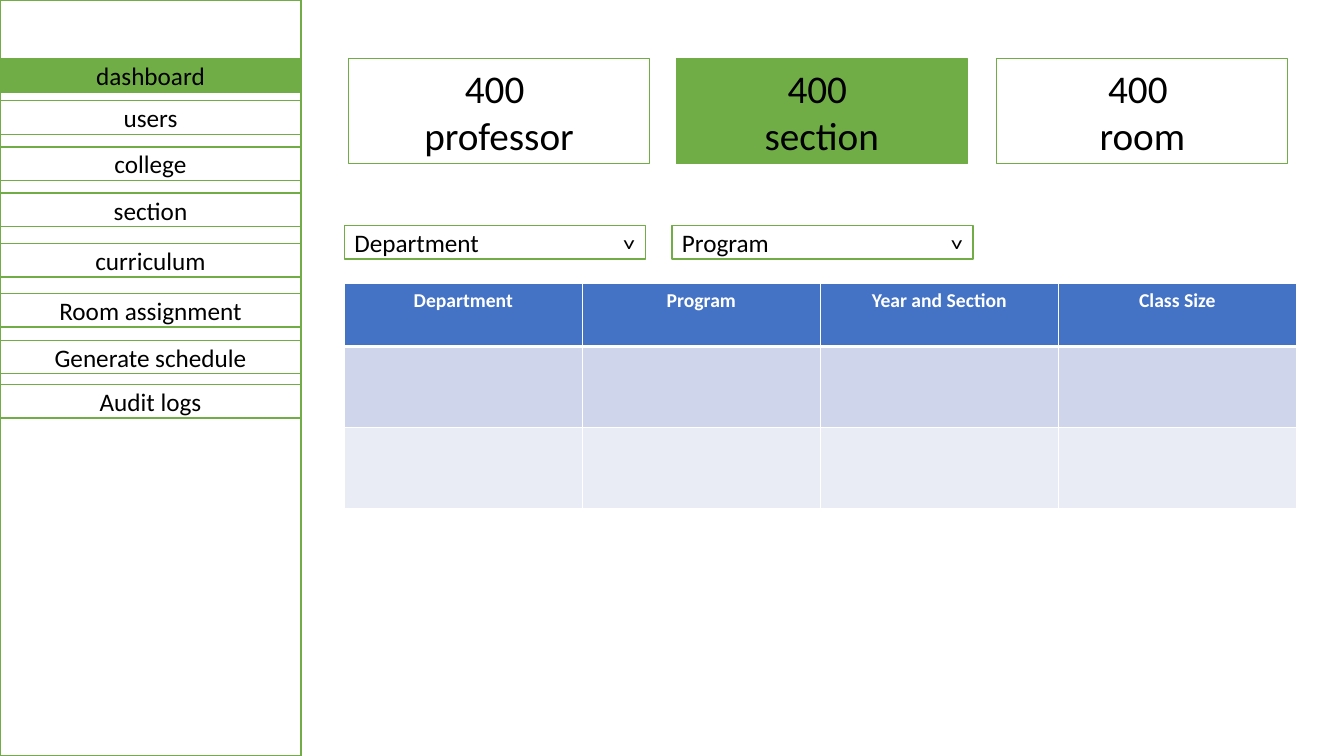
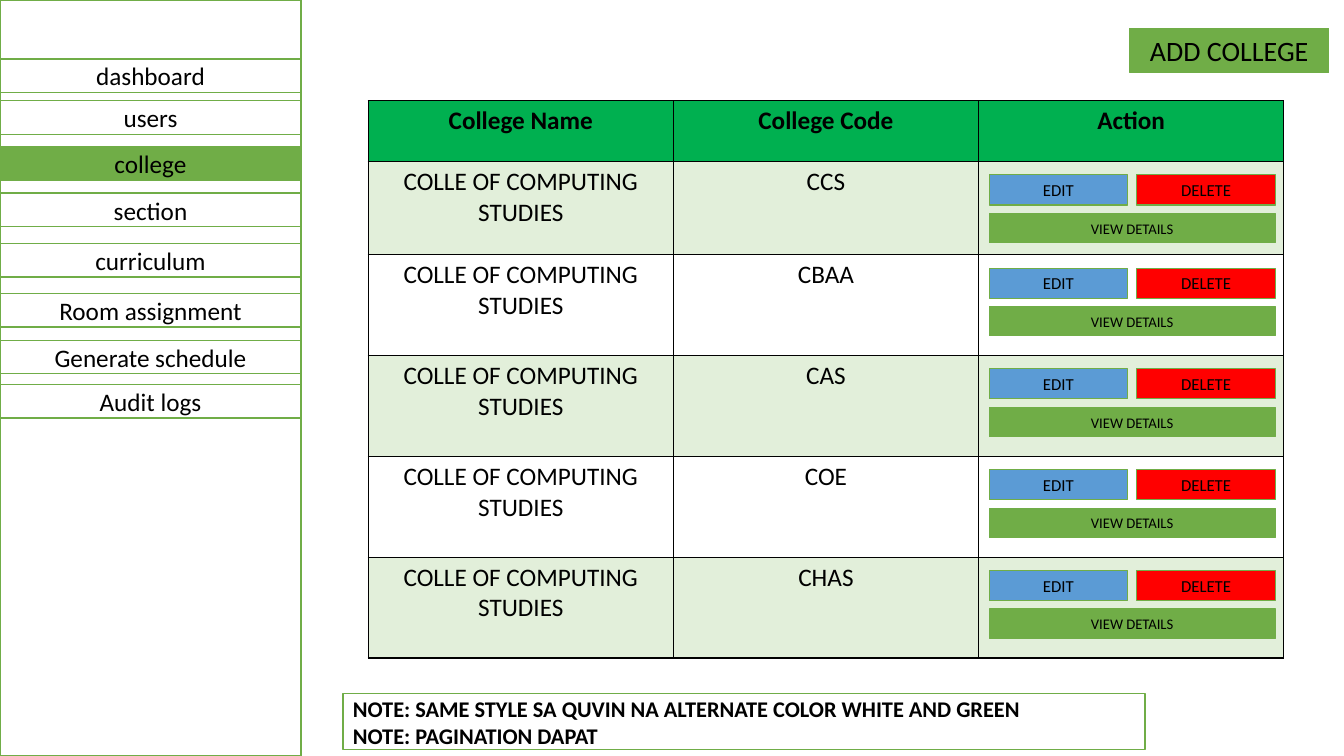
import dataclasses
import itertools

import lxml.etree
import pptx
import pptx.dml.color
import pptx.enum.shapes
import pptx.enum.text
import pptx.oxml.ns
import pptx.util

Pt = pptx.util.Pt
ALIGN = pptx.enum.text.PP_ALIGN
ANCHOR = pptx.enum.text.MSO_ANCHOR


@dataclasses.dataclass(frozen=True)
class Theme:
    font: str = "Calibri"
    black: str = "000000"
    white: str = "FFFFFF"
    green: str = "70AD47"
    pale_green: str = "E2EFDA"
    header_green: str = "00B050"
    header_blue: str = "4472C4"
    blue_bands: tuple = ("CFD5EA", "E9EBF5")
    edit_blue: str = "5B9BD5"
    delete_red: str = "FF0000"
    card_size: float = 28
    action_size: float = 20
    body_size: float = 18
    note_size: float = 16
    header_size: float = 14
    button_size: float = 12
    detail_size: float = 10.5


THEME = Theme()

MENU = {
    "dashboard": 42,
    "users": 72,
    "college": 105,
    "section": 138,
    "curriculum": 174,
    "Room assignment": 209.5,
    "Generate schedule": 243,
    "Audit logs": 274.5,
}
SIDEBAR_WIDTH = 215
FIELD_HEIGHT = 24


def rgb(color):
    return pptx.dml.color.RGBColor.from_string(color)


def write(frame, text, size=THEME.body_size, color=THEME.black, bold=False,
          align=ALIGN.CENTER):
    frame.text = text
    for paragraph in frame.paragraphs:
        paragraph.alignment = align
        font = paragraph.font
        font.name = THEME.font
        font.size = Pt(size)
        font.bold = bold
        font.color.rgb = rgb(color)


def add_border(cell, side, color, width):
    line = lxml.etree.SubElement(
        cell._tc.get_or_add_tcPr(), pptx.oxml.ns.qn(f"a:ln{side}"),
        w=str(int(Pt(width))))
    solid = lxml.etree.SubElement(line, pptx.oxml.ns.qn("a:solidFill"))
    lxml.etree.SubElement(solid, pptx.oxml.ns.qn("a:srgbClr"), val=color)


class Deck:
    def __init__(self, theme):
        self.theme = theme
        self.presentation = pptx.Presentation()
        self.presentation.slide_width = Pt(960)
        self.presentation.slide_height = Pt(540)
        self.slide = None

    def new_slide(self, active):
        blank = self.presentation.slide_layouts[6]
        self.slide = self.presentation.slides.add_slide(blank)
        self.box(0, 0, SIDEBAR_WIDTH, 540)
        for label, top in MENU.items():
            fill = self.theme.green if label == active else self.theme.white
            self.box(0, top, SIDEBAR_WIDTH, FIELD_HEIGHT, label, fill=fill)

    def box(self, left, top, width, height, text="", fill=THEME.white,
            outline=1, **text_format):
        box = self.slide.shapes.add_shape(
            pptx.enum.shapes.MSO_SHAPE.RECTANGLE,
            Pt(left), Pt(top), Pt(width), Pt(height))
        box.shadow.inherit = False
        box.fill.solid()
        box.fill.fore_color.rgb = rgb(fill)
        box.line.color.rgb = rgb(self.theme.green)
        box.line.width = Pt(outline)
        box.text_frame.vertical_anchor = ANCHOR.MIDDLE
        if text:
            write(box.text_frame, text, **text_format)

    def button(self, *place, **text_format):
        self.box(*place, outline=0.75, **text_format)

    def dropdown(self, left, top, label):
        place = left, top, SIDEBAR_WIDTH, FIELD_HEIGHT
        self.box(*place, label, align=ALIGN.LEFT)
        caret = self.slide.shapes.add_textbox(*map(Pt, place))
        caret.rotation = 180
        caret.text_frame.word_wrap = True
        caret.text_frame.vertical_anchor = ANCHOR.MIDDLE
        write(caret.text_frame, "^", align=ALIGN.LEFT)

    def table(self, left, top, column_width, heights, rows, header_fill, bands,
              border, header_rule=1, **header_format):
        columns = len(rows[0])
        table = self.slide.shapes.add_table(
            len(rows), columns, Pt(left), Pt(top),
            Pt(column_width * columns), Pt(sum(heights))).table
        table.first_row = table.horz_banding = False
        for column in table.columns:
            column.width = Pt(column_width)
        for index, (height, texts) in enumerate(zip(heights, rows)):
            table.rows[index].height = Pt(height)
            fill = bands[(index - 1) % len(bands)] if index else header_fill
            rules = {"L": 1, "R": 1,
                     "T": header_rule if index == 1 else 1,
                     "B": header_rule if index == 0 else 1}
            for column, text in enumerate(texts):
                cell = table.cell(index, column)
                for side, width in rules.items():
                    add_border(cell, side, border, width)
                cell.fill.solid()
                cell.fill.fore_color.rgb = rgb(fill)
                if text:
                    text_format = {} if index else header_format
                    write(cell.text_frame, text, **text_format)


def build_dashboard(deck):
    theme = deck.theme
    deck.new_slide("dashboard")
    cards = [
        (249, 215, "professor", theme.white),
        (483, 208, "section", theme.green),
        (712, 208, "room", theme.white),
    ]
    for left, width, label, fill in cards:
        deck.button(left, 42, width, 75, text=f"400 \n{label}", fill=fill,
                    size=theme.card_size)
    for left, label in ((246, "Department"), (480, "Program")):
        deck.dropdown(left, 161, label)
    headings = ["Department", "Program", "Year and Section", "Class Size"]
    deck.table(246, 202.5, 170, [45, 58, 58],
               [headings, [""] * 4, [""] * 4],
               theme.header_blue, theme.blue_bands, theme.white, header_rule=3,
               size=theme.header_size, color=theme.white, bold=True)


def build_colleges(deck):
    theme = deck.theme
    deck.new_slide("college")
    deck.button(807, 20, 142, 32, text="ADD COLLEGE", fill=theme.green,
                size=theme.action_size)
    codes = ["CCS", "CBAA", "CAS", "COE", "CHAS"]
    rows = [["College Name", "College Code", "Action"]]
    rows += [["COLLE OF COMPUTING STUDIES", code, ""] for code in codes]
    table_top = 72
    heights = [43.5, 66.5] + [72] * 4
    deck.table(263, table_top, 218, heights, rows, theme.header_green,
               (theme.pale_green, theme.white), theme.black, bold=True)
    row_tops = itertools.accumulate(heights[:-1], initial=table_top)
    for row_top in itertools.islice(row_tops, 1, None):
        top = row_top + 9.5
        deck.button(706.5, top, 99, 21.5, text="EDIT", fill=theme.edit_blue,
                    size=theme.button_size)
        deck.button(812, top, 99, 21.5, text="DELETE", fill=theme.delete_red,
                    size=theme.button_size)
        deck.button(706.5, top + 27.5, 204.5, 21, text="VIEW DETAILS",
                    fill=theme.green, size=theme.detail_size)
    deck.box(245, 495.5, 573, 40,
             "NOTE: SAME STYLE SA QUVIN NA ALTERNATE COLOR WHITE AND GREEN\n"
             "NOTE: PAGINATION DAPAT",
             size=theme.note_size, bold=True, align=ALIGN.LEFT)


def main():
    deck = Deck(THEME)
    build_dashboard(deck)
    build_colleges(deck)
    deck.presentation.save("out.pptx")


if __name__ == "__main__":
    main()
